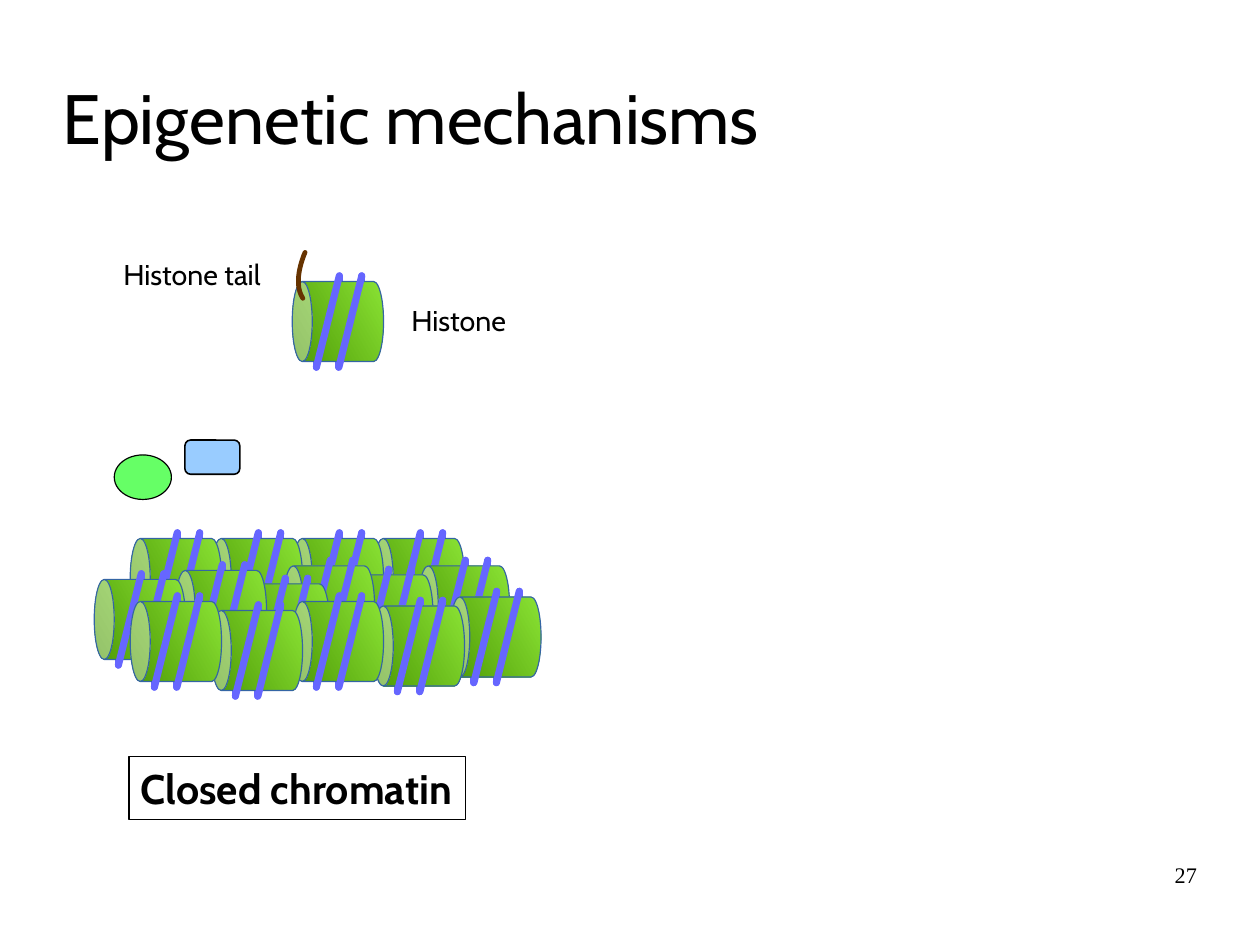
import dataclasses
import pptx
import pptx.util
import pptx.dml.color
import pptx.enum.shapes
import pptx.enum.text
import pptx.oxml.ns
from lxml import etree

Cm = pptx.util.Cm
Pt = pptx.util.Pt
RGB = pptx.dml.color.RGBColor.from_string
SHAPE = pptx.enum.shapes.MSO_SHAPE
ALIGN = pptx.enum.text.PP_ALIGN
qn = pptx.oxml.ns.qn


@dataclasses.dataclass(frozen=True)
class Theme:
    ink: str = "000000"
    dna: str = "6666FF"
    histone_light: str = "8AE234"
    histone_dark: str = "4E9A06"
    histone_edge: str = "3465A4"
    tail: str = "663300"
    green: str = "66FF66"
    blue: str = "99CCFF"
    font: str = "Cabin"
    number_font: str = "Times New Roman"
    title_size: int = 44
    state_size: int = 26
    label_size: int = 18
    number_size: int = 14


theme = Theme()
prs = pptx.Presentation()
prs.slide_width, prs.slide_height = Cm(28), Cm(21)
s = prs.slides.add_slide(prs.slide_layouts[5])


def format_text(sp, text, size, font=theme.font, bold=False, align=ALIGN.LEFT, inset=(0.25, 0.13)):
    tf = sp.text_frame
    tf.margin_left = tf.margin_right = Cm(inset[0])
    tf.margin_top = tf.margin_bottom = Cm(inset[1])
    tf.text = text
    p = tf.paragraphs[0]
    p.alignment = align
    r = p.runs[0]
    r.font.size, r.font.name, r.font.bold = Pt(size), font, bold
    r.font.color.rgb = RGB(theme.ink)


def add_nucleosome(x, y, width=1.78, height=2.03, stub=0.25):
    bottom = y + height
    starts = (x + 0.41, x + 0.91)
    lean = 0.51
    behind = [(a, bottom - stub, a, bottom) for a in starts]
    behind += [(a + lean, y, a + lean, y + stub) for a in starts]
    front = [(a, bottom, a + lean, y) for a in starts]
    for strands in (behind, front):
        if strands is front:
            sp = s.shapes.add_shape(SHAPE.CAN, Cm(x), Cm(y), Cm(width), Cm(height))
            sp.rotation = 270
            sp.shadow.inherit = False
            sp.fill.gradient()
            sp.fill.gradient_angle = 210
            sp._element.spPr.find(qn("a:gradFill")).set("rotWithShape", "0")
            for stop, color in zip(sp.fill.gradient_stops, (theme.histone_light, theme.histone_dark)):
                stop.color.rgb = RGB(color)
            sp.fill.gradient_stops[0].position = 0
            sp.fill.gradient_stops[1].position = 1
            sp.line.color.rgb = RGB(theme.histone_edge)
            sp.line.width = Pt(0)
        for ends in strands:
            strand = s.shapes.add_connector(pptx.enum.shapes.MSO_CONNECTOR.STRAIGHT, *map(Cm, ends))
            strand.line.color.rgb = RGB(theme.dna)
            strand.line.width = Pt(4.5)
            strand.line._ln.set("cap", "rnd")
            etree.SubElement(strand._element.spPr, qn("a:effectLst"))


title = s.shapes.title
title.left, title.top, title.width, title.height = Cm(1.4), Cm(0.84), Cm(25.2), Cm(3.5)
format_text(title, "Epigenetic mechanisms", theme.title_size, inset=(0, 0))
title.text_frame.vertical_anchor = pptx.enum.text.MSO_ANCHOR.MIDDLE

pitch = 1.8
row_left = 3.02
back_row = [(row_left + pitch * i, 11.84) for i in (3, 2, 1, 0)]
middle_row = [(9.42, 12.45), (7.72, 12.65), (6.42, 12.45), (5.42, 12.85), (4.02, 12.55), (2.22, 12.75)]
front_row = [(10.12, 13.14)]
front_row += [(row_left + pitch * i, y) for i, y in ((3, 13.34), (2, 13.24), (1, 13.44), (0, 13.24))]
single = (row_left + pitch * 2, 6.13)
for x, y in back_row + middle_row + front_row + [single]:
    add_nucleosome(x, y)

curve = ((6.73, 6.63), (6.48, 6.25), (6.78, 5.61), (6.78, 5.61))
points = []
for i in range(17):
    t = i / 16
    weights = ((1 - t) ** 3, 3 * t * (1 - t) ** 2, 3 * t ** 2 * (1 - t), t ** 3)
    points.append(tuple(Cm(sum(w * c[axis] for w, c in zip(weights, curve))) for axis in (0, 1)))
builder = s.shapes.build_freeform(*points[0])
builder.add_line_segments(points[1:], close=False)
tail = builder.convert_to_shape()
tail.shadow.inherit = False
tail.fill.background()
tail.line.color.rgb = RGB(theme.tail)
tail.line.width = Pt(3)
tail.line._ln.set("cap", "rnd")

for kind, box, color, width in (
    (SHAPE.RECTANGLE, (2.87, 16.81, 7.47, 1.4), None, 0.79),
    (SHAPE.OVAL, (2.54, 10.11, 1.27, 0.99), theme.green, 0),
    (SHAPE.ROUNDED_RECTANGLE, (4.11, 9.78, 1.22, 0.76), theme.blue, 1),
):
    sp = s.shapes.add_shape(kind, *map(Cm, box))
    sp.shadow.inherit = False
    sp.line.color.rgb = RGB(theme.ink)
    sp.line.width = Pt(width)
    if color:
        sp.fill.solid()
        sp.fill.fore_color.rgb = RGB(color)
    else:
        sp.fill.background()
        format_text(sp, "Closed chromatin", theme.state_size, bold=True)
        sp.text_frame.word_wrap = False

for text, box in (("Histone", (8.89, 6.6, 2.62, 1.02)), ("Histone tail", (2.49, 5.59, 3.56, 1.02))):
    label = s.shapes.add_textbox(*map(Cm, box))
    format_text(label, text, theme.label_size)
    label.text_frame.word_wrap = False

number = s.shapes.add_textbox(Cm(20.07), Cm(19.13), Cm(6.53), Cm(1.45))
format_text(number, "27", theme.number_size, theme.number_font, align=ALIGN.RIGHT, inset=(0, 0))
number.text_frame.word_wrap = True

prs.save("out.pptx")
